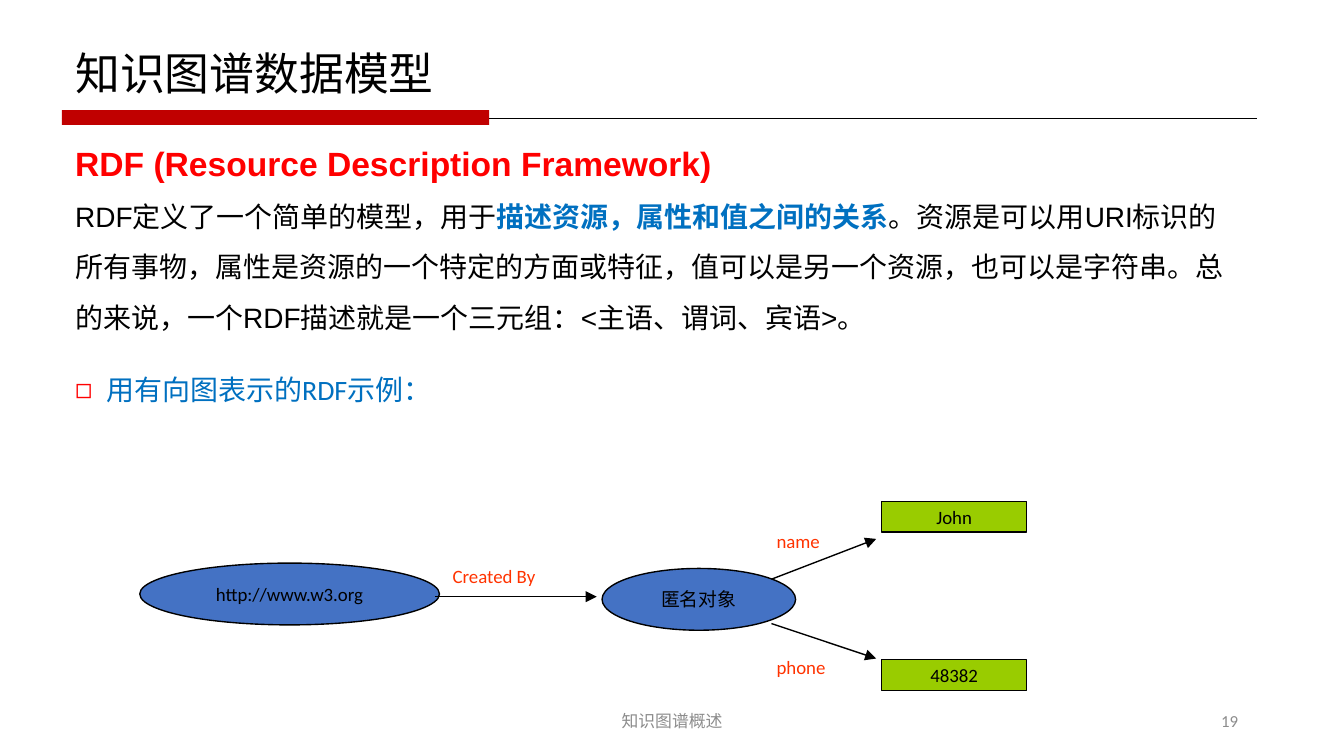
from lxml.etree import SubElement
from pptx import Presentation
from pptx.dml.color import RGBColor
from pptx.enum.shapes import MSO_CONNECTOR as CONNECTOR, MSO_SHAPE as SHAPE
from pptx.enum.text import MSO_ANCHOR as ANCHOR, MSO_AUTO_SIZE as AUTO_SIZE, PP_ALIGN as ALIGN
from pptx.oxml.ns import qn
from pptx.util import Inches, Pt

COLORS = {
    "text": "000000", "bar": "C00000", "heading": "FF0000", "accent": "0070C0",
    "resource": "4472C4", "literal": "99CC00", "predicate": "FF3300", "footer": "8C8C8C",
}
NODE_SIZE = 10.1


def rgb(color):
    return RGBColor.from_string(COLORS[color])


class SlideBuilder:
    def __init__(self, slide):
        self.slide = slide

    def style(self, paragraph, size, color=None, font="Calibri", bold=None, align=ALIGN.LEFT):
        paragraph.alignment = align
        paragraph.font.size = Pt(size)
        paragraph.font.name = font
        paragraph.font.bold = bold
        if color:
            paragraph.font.color.rgb = rgb(color)

    def place(self, placeholder, left, top, width, height):
        placeholder.left, placeholder.top = Inches(left), Inches(top)
        placeholder.width, placeholder.height = Inches(width), Inches(height)
        frame = placeholder.text_frame
        frame.auto_size = AUTO_SIZE.NONE
        frame.vertical_anchor = ANCHOR.TOP
        return frame

    def title(self, text, *box):
        frame = self.place(self.slide.shapes.title, *box)
        frame.word_wrap = False
        frame.text = text
        self.style(frame.paragraphs[0], 24, "text", "Arial")

    def body(self, *box):
        return self.place(self.slide.placeholders[1], *box)

    def bullet(self, paragraph, char=None, indent=0):
        """Set the paragraph's bullet and hanging indent; no char means no bullet."""
        props = paragraph._p.get_or_add_pPr()
        props.set("marL", str(Inches(indent)))
        props.set("indent", str(-Inches(indent)))
        if char:
            color = SubElement(props, qn("a:buClr"))
            SubElement(color, qn("a:srgbClr"), val=COLORS["heading"])
            SubElement(props, qn("a:buChar"), char=char)
        else:
            SubElement(props, qn("a:buNone"))

    def shape(self, kind, fill, left, top, width, height, outlined=True):
        shape = self.slide.shapes.add_shape(
            kind, Inches(left), Inches(top), Inches(width), Inches(height))
        shape.shadow.inherit = False
        shape.fill.solid()
        shape.fill.fore_color.rgb = rgb(fill)
        if outlined:
            shape.line.color.rgb = rgb("text")
            shape.line.width = Pt(0.75)
        else:
            shape.line.fill.background()
        return shape

    def node(self, text, kind, fill, *box):
        frame = self.shape(kind, fill, *box).text_frame
        frame.word_wrap = False
        frame.vertical_anchor = ANCHOR.MIDDLE
        frame.text = text
        self.style(frame.paragraphs[0], NODE_SIZE, "text", align=ALIGN.CENTER)

    def line(self, start, end, width=0.75, arrow=False):
        line = self.slide.shapes.add_connector(
            CONNECTOR.STRAIGHT, *map(Inches, start), *map(Inches, end))
        line.line.color.rgb = rgb("text")
        line.line.width = Pt(width)
        if arrow:
            SubElement(line.line._get_or_add_ln(), qn("a:tailEnd"), type="triangle")
        SubElement(line._element.spPr, qn("a:effectLst"))

    def label(self, text, left, top, width, height, size=NODE_SIZE, color="predicate",
              align=ALIGN.LEFT, anchor=ANCHOR.TOP):
        frame = self.slide.shapes.add_textbox(
            Inches(left), Inches(top), Inches(width), Inches(height)).text_frame
        frame.word_wrap = True
        frame.vertical_anchor = anchor
        frame.text = text
        self.style(frame.paragraphs[0], size, color, align=align)


def add_description(builder):
    frame = builder.body(0.46, 1.01, 8.83, 3.44)
    heading = frame.paragraphs[0]
    definition = frame.add_paragraph()
    example = frame.add_paragraph()

    heading.text = "RDF (Resource Description Framework)"
    heading.space_before = Pt(0)
    builder.bullet(heading)
    builder.style(heading, 18, "heading", "Arial", bold=True)

    definition.space_before = Pt(0)
    definition.line_spacing = 1.5
    builder.bullet(definition)
    builder.style(definition, 15, font="Arial")
    for text, color, bold in [
        ("RDF定义了一个简单的模型，用于", "text", False),
        ("描述资源，属性和值之间的关系", "accent", True),
        ("。资源是可以用URI标识的所有事物，属性是资源的一个特定的方面或特征，"
         "值可以是另一个资源，也可以是字符串。总的来说，一个RDF描述就是一个三元组："
         "<主语、谓词、宾语>。", "text", False),
    ]:
        run = definition.add_run()
        run.text = text
        run.font.color.rgb = rgb(color)
        run.font.bold = bold

    example.text = "用有向图表示的RDF示例："
    example.space_before = Pt(23)
    example.line_spacing = 0.9
    builder.bullet(example, "◻", 0.23)
    builder.style(example, 15, "accent")


def add_graph(builder):
    builder.node("http://www.w3.org", SHAPE.OVAL, "resource", 1.04, 4.19, 2.23, 0.46)
    builder.node("匿名对象", SHAPE.OVAL, "resource", 4.48, 4.23, 1.44, 0.46)
    for text, top in [("John", 3.73), ("48382", 4.91)]:
        builder.node(text, SHAPE.RECTANGLE, "literal", 6.56, top, 1.08, 0.23)

    for predicate, start, end, box in [
        ("Created By", (3.24, 4.44), (4.44, 4.44), (3.27, 4.15, 1.26, 0.27)),
        ("name", (5.74, 4.31), (6.52, 4.01), (5.68, 3.89, 0.72, 0.27)),
        ("phone", (5.74, 4.64), (6.52, 4.9), (5.68, 4.83, 0.84, 0.27)),
    ]:
        builder.line(start, end, arrow=True)
        builder.label(predicate, *box)


def main():
    deck = Presentation()
    deck.slide_width = Inches(10)
    deck.slide_height = deck.slide_width * 9 // 16
    builder = SlideBuilder(deck.slides.add_slide(deck.slide_layouts[1]))

    builder.line((0.46, 0.88), (9.35, 0.88), width=0.5)
    builder.shape(SHAPE.RECTANGLE, "bar", 0.46, 0.82, 3.18, 0.11, outlined=False)
    builder.title("知识图谱数据模型", 0.46, 0.29, 2.89, 0.91)
    add_description(builder)
    add_graph(builder)

    footer = {"size": 9, "color": "footer", "anchor": ANCHOR.MIDDLE}
    builder.label("知识图谱概述", 3.31, 5.21, 3.38, 0.3, align=ALIGN.CENTER, **footer)
    builder.label("19", 7.06, 5.21, 2.25, 0.3, align=ALIGN.RIGHT, **footer)
    deck.save("out.pptx")


if __name__ == "__main__":
    main()
